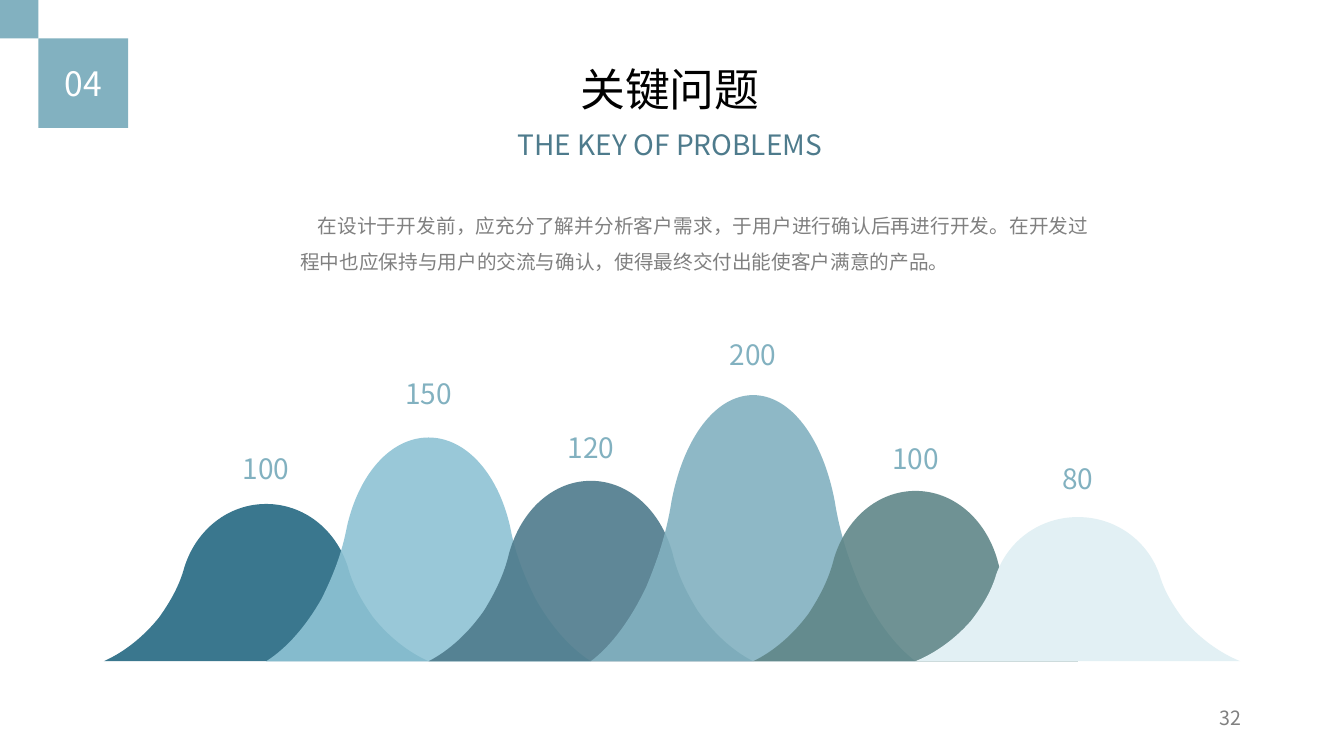
from dataclasses import dataclass

import pptx
import pptx.dml.color
import pptx.enum.shapes
import pptx.enum.text
import pptx.oxml
import pptx.oxml.ns
import pptx.util
from lxml import etree

Inches = pptx.util.Inches
Align = pptx.enum.text.PP_ALIGN
qn = pptx.oxml.ns.qn
Point = tuple[float, float]


@dataclass(frozen=True)
class Theme:
    font: str = "Noto Sans CJK SC"
    accent: str = "82B1C0"
    subtitle: str = "4E7B8C"
    title: str = "000000"
    muted: str = "808080"
    white: str = "FFFFFF"
    title_size: int = 32
    badge_size: int = 24
    label_size: int = 20
    body_size: int = 14


@dataclass(frozen=True)
class Bell:
    value: str
    peak: float
    label_top: float
    color: str
    opacity: int = 100


@dataclass(frozen=True)
class TextItem:
    text: str
    left: float
    top: float
    width: float
    height: float
    size: int
    color: str
    align: Align = Align.CENTER
    line_spacing: float = 1.0
    indent: float = 0.0
    grow: bool = True


THEME = Theme()

# Every bell shares one pitch, base line and profile; only the height differs
FIRST_CENTER, PITCH, BASE = 2.64, 1.61, 6.56
LABEL_WIDTH, LABEL_HEIGHT = 2.05, 0.44
BELLS = [
    Bell("100", 5.00, 4.43, "3A778E"),
    Bell("150", 4.34, 3.69, "8EC3D4", 90),
    Bell("120", 4.77, 4.22, "4E7B8C", 90),
    Bell("200", 3.92, 3.30, "82B1C0", 90),
    Bell("100", 4.87, 4.33, "608789", 90),
    Bell("80", 5.13, 4.53, "E2F0F4"),
]
# Curve points from peak to right foot: offset in inches, share of the height
RIGHT_HALF: list[Point] = [
    (0.37, 1), (0.69, 0.84), (0.81, 0.6),
    (0.86, 0.48), (0.95, 0.38), (1.06, 0.28),
    (1.21, 0.16), (1.4, 0.06), (1.61, 0),
]
BELL_OUTLINE = [(-x, y) for x, y in reversed(RIGHT_HALF)] + [(0, 1)] + RIGHT_HALF

TEXTS = [
    TextItem("在设计于开发前，应充分了解并分析客户需求，于用户进行确认后再进行开发。"
             "在开发过程中也应保持与用户的交流与确认，使得最终交付出能使客户满意的产品。",
             2.88, 1.96, 8.02, 0.75, THEME.body_size, THEME.muted,
             Align.JUSTIFY, line_spacing=1.5, indent=0.17),
    TextItem("关键问题", 1.72, 0.56, 9.85, 0.64, THEME.title_size, THEME.title),
    TextItem("THE KEY OF PROBLEMS", 1.72, 1.22, 9.85, 0.44,
             THEME.label_size, THEME.subtitle),
    TextItem("32", 9.41, 6.95, 3, 0.4, THEME.body_size, THEME.muted,
             Align.RIGHT, grow=False),
]


def rgb(color: str) -> pptx.dml.color.RGBColor:
    return pptx.dml.color.RGBColor.from_string(color)


def apply_format(target: object, values: dict[str, object]) -> None:
    for name, value in values.items():
        setattr(target, name, value)


def paint(shape, color: str, opacity: int = 100) -> None:
    shape.shadow.inherit = False
    shape.line.fill.background()
    shape.fill.solid()
    shape.fill.fore_color.rgb = rgb(color)
    if opacity < 100:
        tint = shape.fill._xPr.find(".//" + qn("a:srgbClr"))
        etree.SubElement(tint, qn("a:alpha"), val=str(opacity * 1000))


def write(para, text: str, size: int, color: str, align: Align) -> None:
    para.alignment = align
    span = para.add_run()
    span.text = text
    apply_format(span.font, {"name": THEME.font, "size": pptx.util.Pt(size)})
    span.font.color.rgb = rgb(color)
    # East Asian glyphs need their own typeface entry
    etree.SubElement(span.font._element, qn("a:ea"), typeface=THEME.font)


def add_text(page, item: TextItem) -> None:
    box = page.shapes.add_textbox(Inches(item.left), Inches(item.top),
                                  Inches(item.width), Inches(item.height))
    sizing = pptx.enum.text.MSO_AUTO_SIZE
    apply_format(box.text_frame, {
        "word_wrap": True,
        "auto_size": sizing.SHAPE_TO_FIT_TEXT if item.grow else sizing.NONE,
    })
    para = box.text_frame.paragraphs[0]
    write(para, item.text, item.size, item.color, item.align)
    if item.line_spacing != 1:
        para.line_spacing = item.line_spacing
    if item.indent:
        para._p.get_or_add_pPr().set("indent", str(Inches(item.indent)))


def add_square(page, corner: float, side: float):
    square = page.shapes.add_shape(pptx.enum.shapes.MSO_SHAPE.RECTANGLE,
                                   Inches(corner), Inches(corner),
                                   Inches(side), Inches(side))
    paint(square, THEME.accent)
    return square


def curve_segments(shape) -> None:
    """Turn each run of three line points into one cubic curve."""
    lines = list(shape._element.iter(qn("a:lnTo")))
    for start in range(0, len(lines) - 2, 3):
        first, *others = lines[start:start + 3]
        first.tag = qn("a:cubicBezTo")
        for line in others:
            first.append(line[0])
            line.getparent().remove(line)


def add_bell(page, bell: Bell, center: float) -> None:
    points = [(Inches(center + x), Inches(BASE - y * (BASE - bell.peak)))
              for x, y in BELL_OUTLINE]
    builder = page.shapes.build_freeform(*points[0])
    builder.add_line_segments(points[1:], close=True)
    shape = builder.convert_to_shape()
    curve_segments(shape)
    paint(shape, bell.color, bell.opacity)


def main() -> None:
    deck = pptx.Presentation()
    apply_format(deck, {"slide_width": Inches(13.33), "slide_height": Inches(7.5)})
    page = deck.slides.add_slide(deck.slide_layouts[6])

    # Section badge
    add_square(page, 0, 0.38)
    badge = add_square(page, 0.38, 0.89)
    badge.text_frame.vertical_anchor = pptx.enum.text.MSO_ANCHOR.MIDDLE
    write(badge.text_frame.paragraphs[0], "04", THEME.badge_size, THEME.white,
          Align.CENTER)

    # Overlapping bells, then their values on top
    centers = [FIRST_CENTER + index * PITCH for index in range(len(BELLS))]
    for bell, center in zip(BELLS, centers):
        add_bell(page, bell, center)
    for bell, center in zip(BELLS, centers):
        add_text(page, TextItem(bell.value, center - LABEL_WIDTH / 2, bell.label_top,
                                LABEL_WIDTH, LABEL_HEIGHT,
                                THEME.label_size, THEME.accent))

    # Headings, body and page number
    for item in TEXTS:
        add_text(page, item)

    deck.save("out.pptx")


if __name__ == "__main__":
    main()
